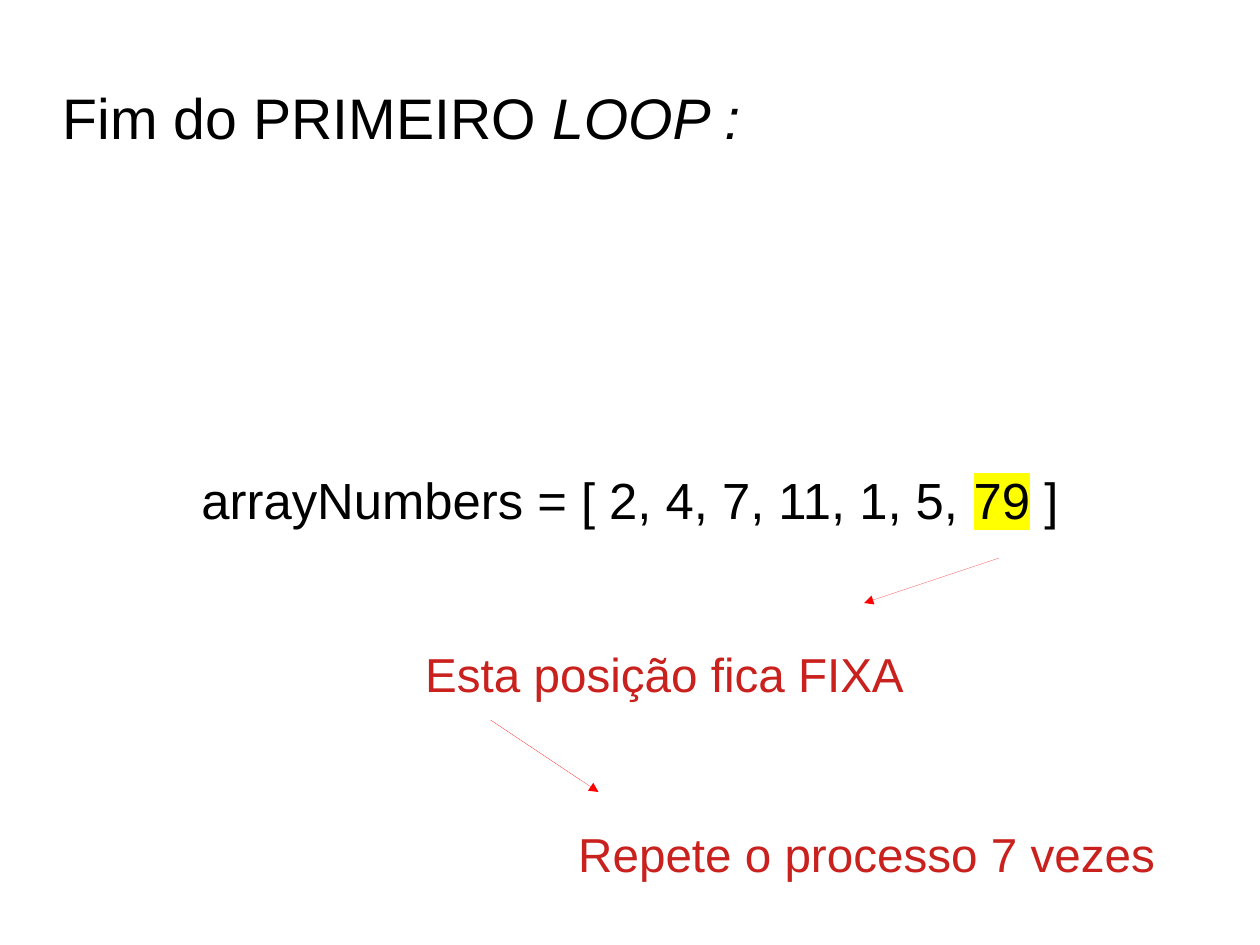
from dataclasses import dataclass

from lxml import etree
from pptx import Presentation
from pptx import util as u
from pptx.dml.color import RGBColor
from pptx.enum import shapes, text
from pptx.oxml.ns import qn

EMU_PER_PX = 9000  # 40 px to the centimetre
SLIDE_WIDTH, SLIDE_HEIGHT = 1120, 840
FONT = "Arial"
COLORS = {"ink": "000000", "note": "C9211E", "arrow": "FF0000", "marker": "FFFF00"}


@dataclass(frozen=True)
class Box:
    left: int
    top: int
    width: int
    height: int


@dataclass(frozen=True)
class Note:
    content: str
    box: Box


@dataclass(frozen=True)
class Arrow:
    start: tuple[int, int]
    end: tuple[int, int]


TITLE_BOX = Box(56, 64, 800, 80)
ARRAY_BOX = Box(56, 200, 1008, 487)
NOTES = [
    Note("Esta posição fica FIXA", Box(368, 568, 504, 105)),
    Note("Repete o processo 7 vezes", Box(504, 728, 568, 105)),
]
ARROWS = [Arrow((888, 496), (768, 536)), Arrow((436, 640), (532, 704))]


def px(length: int) -> u.Emu:
    return u.Emu(length * EMU_PER_PX)


def add_text(paragraph, content: str, *, size: int, color: str = "ink",
             italic: bool = False, highlight: str | None = None) -> None:
    run = paragraph.add_run()
    run.text = content
    font = run.font
    font.size = u.Pt(size)
    font.italic = italic
    font.color.rgb = RGBColor.from_string(COLORS[color])
    if highlight:
        marker = etree.Element(qn("a:highlight"))
        etree.SubElement(marker, qn("a:srgbClr"), val=COLORS[highlight])
        run._r.rPr.find(qn("a:solidFill")).addnext(marker)
    font.name = FONT


def place_placeholder(shape, box: Box, alignment: text.PP_ALIGN):
    """Move a placeholder, clear its insets and return its first paragraph."""
    shape.left, shape.top = px(box.left), px(box.top)
    shape.width, shape.height = px(box.width), px(box.height)
    frame = shape.text_frame
    frame.margin_left = frame.margin_right = 0
    frame.margin_top = frame.margin_bottom = 0
    frame.vertical_anchor = text.MSO_ANCHOR.MIDDLE
    frame.auto_size = text.MSO_AUTO_SIZE.NONE
    paragraph = frame.paragraphs[0]
    paragraph.alignment = alignment
    paragraph.space_before = u.Pt(0)
    return paragraph


def add_note(slide, note: Note) -> None:
    box = note.box
    shape = slide.shapes.add_textbox(px(box.left), px(box.top), px(box.width), px(box.height))
    shape.text_frame.word_wrap = True
    add_text(shape.text_frame.paragraphs[0], note.content, size=30, color="note")


def add_arrow(slide, arrow: Arrow) -> None:
    connector = slide.shapes.add_connector(
        shapes.MSO_CONNECTOR.STRAIGHT, *map(px, arrow.start + arrow.end))
    connector.line.color.rgb = RGBColor.from_string(COLORS["arrow"])
    properties = connector._element.spPr
    line = properties.find(qn("a:ln"))
    line.set("w", "0")  # hairline
    etree.SubElement(line, qn("a:tailEnd"), type="triangle")
    etree.SubElement(properties, qn("a:effectLst"))


def main() -> None:
    presentation = Presentation()
    presentation.slide_width = px(SLIDE_WIDTH)
    presentation.slide_height = px(SLIDE_HEIGHT)
    slide = presentation.slides.add_slide(presentation.slide_layouts[0])

    title = place_placeholder(slide.shapes.title, TITLE_BOX, text.PP_ALIGN.LEFT)
    add_text(title, "Fim do PRIMEIRO ", size=36)
    add_text(title, "LOOP :", size=36, italic=True)

    array = place_placeholder(slide.placeholders[1], ARRAY_BOX, text.PP_ALIGN.CENTER)
    add_text(array, "arrayNumbers = [ 2, 4, 7, 11, 1, 5, ", size=32)
    add_text(array, "79", size=32, highlight="marker")
    add_text(array, " ]", size=32)

    for arrow, note in zip(ARROWS, NOTES):
        add_arrow(slide, arrow)
        add_note(slide, note)

    presentation.save("out.pptx")


if __name__ == "__main__":
    main()
